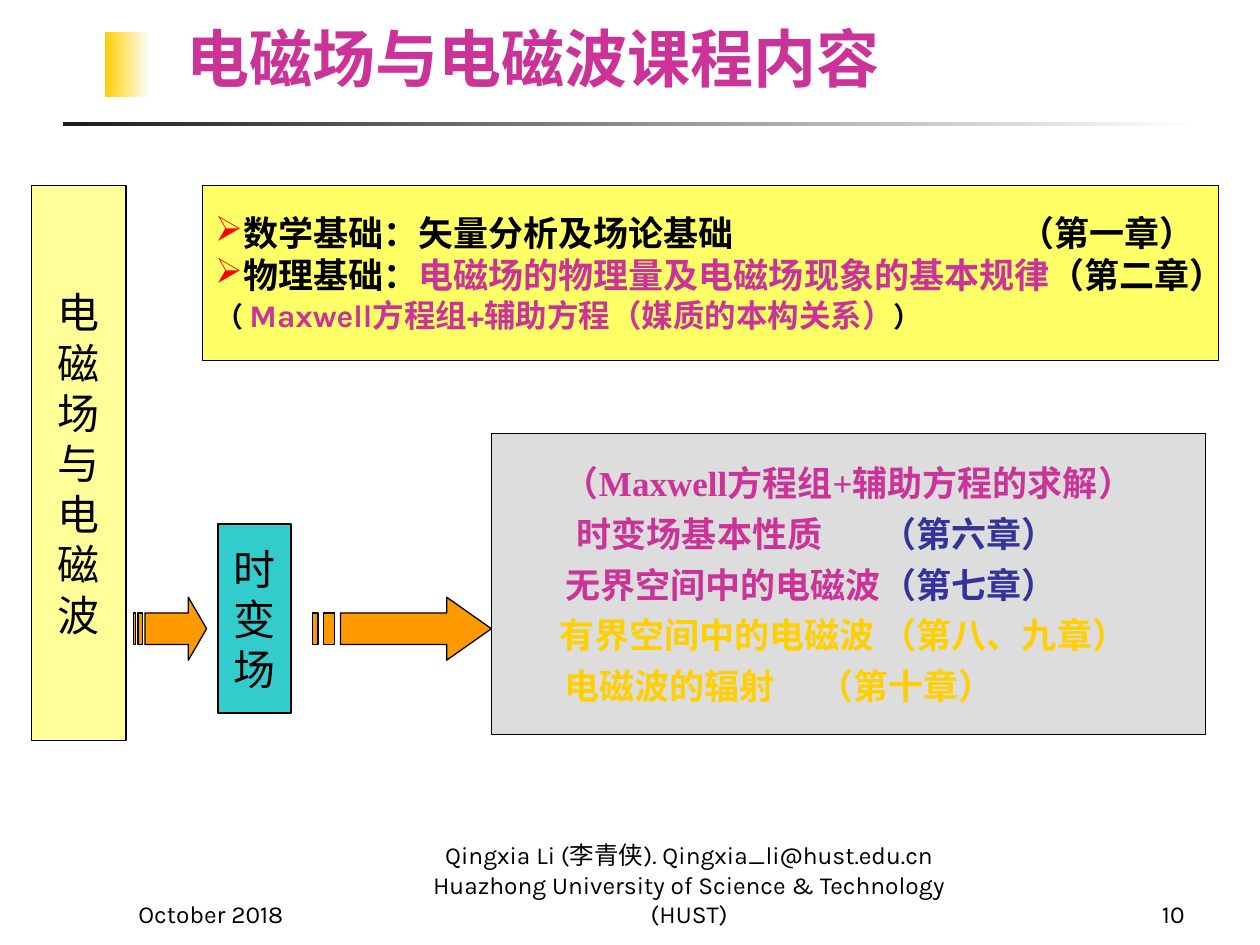
import pptx
import pptx.dml.color
import pptx.enum.shapes
import pptx.enum.text
import pptx.oxml
import pptx.oxml.ns
import pptx.util
from pptx.util import Inches

ALIGN = pptx.enum.text.PP_ALIGN
ANCHOR = pptx.enum.text.MSO_ANCHOR
SERIF, SANS = "Times New Roman", "Karla"
BLACK, MAGENTA, NAVY, GOLD = "000000", "CC3399", "333399", "FFCF01"


def color(hex_value):
    """Turn a hex string into a colour."""
    return pptx.dml.color.RGBColor.from_string(hex_value)


def add_properties(paragraph, bullet, tab, indent):
    """Set the bullet, tab stop and first-line indent of a paragraph."""
    properties = paragraph._p.get_or_add_pPr()
    namespace = pptx.oxml.ns.nsdecls("a")
    elements = []
    if indent:
        properties.set("marL", "0")
        properties.set("indent", str(Inches(indent)))
    if bullet:
        elements.append(f'<a:buClr {namespace}><a:srgbClr val="FF0000"/></a:buClr>')
        elements.append(f'<a:buChar {namespace} char="{bullet}"/>')
    if tab:
        elements.append(f'<a:tabLst {namespace}><a:tab pos="{Inches(tab)}" algn="l"/></a:tabLst>')
    for element in elements:
        properties.append(pptx.oxml.parse_xml(element))


def write(frame, *runs, size=20, font=SERIF, fill=BLACK, bold=False, align=ALIGN.LEFT,
          before=0, bullet=None, tab=None, indent=0):
    """Add a paragraph of runs, each a text or a pair of text and format changes."""
    paragraph = frame.paragraphs[0]
    if paragraph.runs:
        paragraph = frame.add_paragraph()
        paragraph.space_before = pptx.util.Pt(before)
    add_properties(paragraph, bullet, tab, indent)
    paragraph.alignment = align
    for item in runs:
        text, changes = (item, {}) if isinstance(item, str) else item
        style = {"size": size, "font": font, "fill": fill} | changes
        run = paragraph.add_run()
        run.text = text
        run.font.size = pptx.util.Pt(style["size"])
        run.font.name = style["font"]
        run.font.bold = bold
        run.font.color.rgb = color(style["fill"])


def paint(shape, fill):
    """Give a shape a plain fill and a thin black outline."""
    shape.shadow.inherit = False
    shape.fill.solid()
    shape.fill.fore_color.rgb = color(fill)
    shape.line.color.rgb = color(BLACK)
    shape.line.width = pptx.util.Pt(0.75)


def add_rectangle(slide, box):
    """Add a rectangle at the given box in inches."""
    return slide.shapes.add_shape(pptx.enum.shapes.MSO_SHAPE.RECTANGLE, *map(Inches, box))


def add_panel(slide, box, fill, wrap=False):
    """Add an outlined panel and return its text frame."""
    panel = add_rectangle(slide, box)
    paint(panel, fill)
    panel.text_frame.word_wrap = wrap
    panel.text_frame.vertical_anchor = ANCHOR.MIDDLE
    return panel.text_frame


def add_fade(slide, box, start):
    """Add a bar that fades from a colour to white."""
    bar = add_rectangle(slide, box)
    bar.shadow.inherit = False
    bar.line.fill.background()
    bar.fill.gradient()
    bar.fill.gradient_angle = 0
    for stop, shade in zip(bar.fill.gradient_stops, (start, "FFFFFF")):
        stop.color.rgb = color(shade)


def add_text(slide, box, lines, anchor, **style):
    """Add a text box with one paragraph for each line."""
    frame = slide.shapes.add_textbox(*map(Inches, box)).text_frame
    frame.word_wrap = True
    frame.vertical_anchor = anchor
    for line in lines:
        write(frame, line, **style)


def add_header(slide, box):
    """Add the title with its gold block and rule."""
    left, top, width, height = box
    add_fade(slide, (left + 0.33, top + 0.25, 0.36, 0.52), GOLD)
    add_fade(slide, (left, top + height - 0.03, width, 0.03), "1C1C1C")
    add_text(slide, (left + 0.88, top, 5.83, 0.91), ["电磁场与电磁波课程内容"],
             ANCHOR.MIDDLE, size=36, fill=MAGENTA, bold=True)


def add_footer(slide, box):
    """Add the date, author and page number."""
    left, top, width, height = box
    author = ["Qingxia Li (李青侠). Qingxia_li@hust.edu.cn",
              "Huazhong University of Science & Technology (HUST)"]
    for offset, part_width, lines, align in (
            (0, 2.08, ["October 2018"], ALIGN.LEFT),
            (2.03, 4.88, author, ALIGN.CENTER),
            (width - 1.75, 1.75, ["10"], ALIGN.RIGHT)):
        add_text(slide, (left + offset, top, part_width, height), lines,
                 ANCHOR.BOTTOM, size=14, font=SANS, align=align)


def add_vertical_label(slide, box, label, fill):
    """Add a panel with one character on each line."""
    frame = add_panel(slide, box, fill)
    for character in label:
        write(frame, character, size=24, align=ALIGN.CENTER)


def add_foundations(slide, box):
    """Add the panel of mathematical and physical foundations."""
    frame = add_panel(slide, box, "FFFF66")
    write(frame, "数学基础：矢量分析及场论基础\t（第一章）", bold=True, bullet="➢", tab=6.38)
    write(frame, "物理基础：", ("电磁场的物理量及电磁场现象的基本规律", {"fill": MAGENTA}),
          "（第二章）", bold=True, bullet="➢")
    write(frame, "（ ", ("Maxwell方程组+辅助方程（媒质的本构关系）",
                        {"size": 18, "font": SANS, "fill": MAGENTA}),
          "）", size=16, bold=True)


def add_chapters(slide, box):
    """Add the panel of chapters on time-varying fields."""
    frame = add_panel(slide, box, "DDDDDD", wrap=True)
    write(frame, "（Maxwell方程组+辅助方程的求解）", fill=MAGENTA, bold=True, align=ALIGN.CENTER)
    for topic, chapter, topic_fill, chapter_fill, indent, tab in (
            ("时变场基本性质", "（第六章）", MAGENTA, NAVY, 0.58, 3.45),
            ("无界空间中的电磁波", "（第七章）", MAGENTA, NAVY, 0.49, 3.55),
            ("有界空间中的电磁波", "（第八、九章）", GOLD, GOLD, 0.44, 3.07),
            ("电磁波的辐射", "（第十章）", GOLD, GOLD, 0.48, 3.58)):
        write(frame, topic, (f"\t{chapter}", {"fill": chapter_fill}), fill=topic_fill,
              bold=True, before=5, indent=indent, tab=tab)


def add_striped_arrow(slide, box):
    """Add an arrow whose stripes scale with its width."""
    left, top, width, height = box

    def place(points):
        return [(Inches(left + x * width), Inches(top + y * height)) for x, y in points]

    head = place([(0.75, 0), (0.75, 0.25), (5 / 32, 0.25), (5 / 32, 0.75),
                  (0.75, 0.75), (0.75, 1), (1, 0.5)])
    outline = slide.shapes.build_freeform(*head[0])
    outline.add_line_segments(head[1:], close=True)
    for start, end in ((1 / 16, 1 / 8), (0, 1 / 32)):
        stripe = place([(start, 0.25), (start, 0.75), (end, 0.75), (end, 0.25)])
        outline.move_to(*stripe[0])
        outline.add_line_segments(stripe[1:], close=True)
    paint(outline.convert_to_shape(), "FF9900")


def main():
    """Build the course contents slide."""
    deck = pptx.Presentation()
    deck.slide_width, deck.slide_height = Inches(10), Inches(7.5)
    slide = deck.slides.add_slide(deck.slide_layouts[6])
    add_header(slide, (0.5, 0, 9, 1))
    add_vertical_label(slide, (0.25, 1.47, 0.75, 4.41), "电磁场与电磁波", "FFFF99")
    add_chapters(slide, (3.9, 3.44, 5.67, 2.39))
    add_vertical_label(slide, (1.73, 4.16, 0.58, 1.5), "时变场", "33CCCC")
    add_striped_arrow(slide, (2.48, 4.74, 1.42, 0.5))
    add_striped_arrow(slide, (1.06, 4.74, 0.58, 0.5))
    add_foundations(slide, (1.61, 1.47, 8.06, 1.39))
    add_footer(slide, (1, 6.92, 8.5, 0.5))
    deck.save("out.pptx")


if __name__ == "__main__":
    main()
